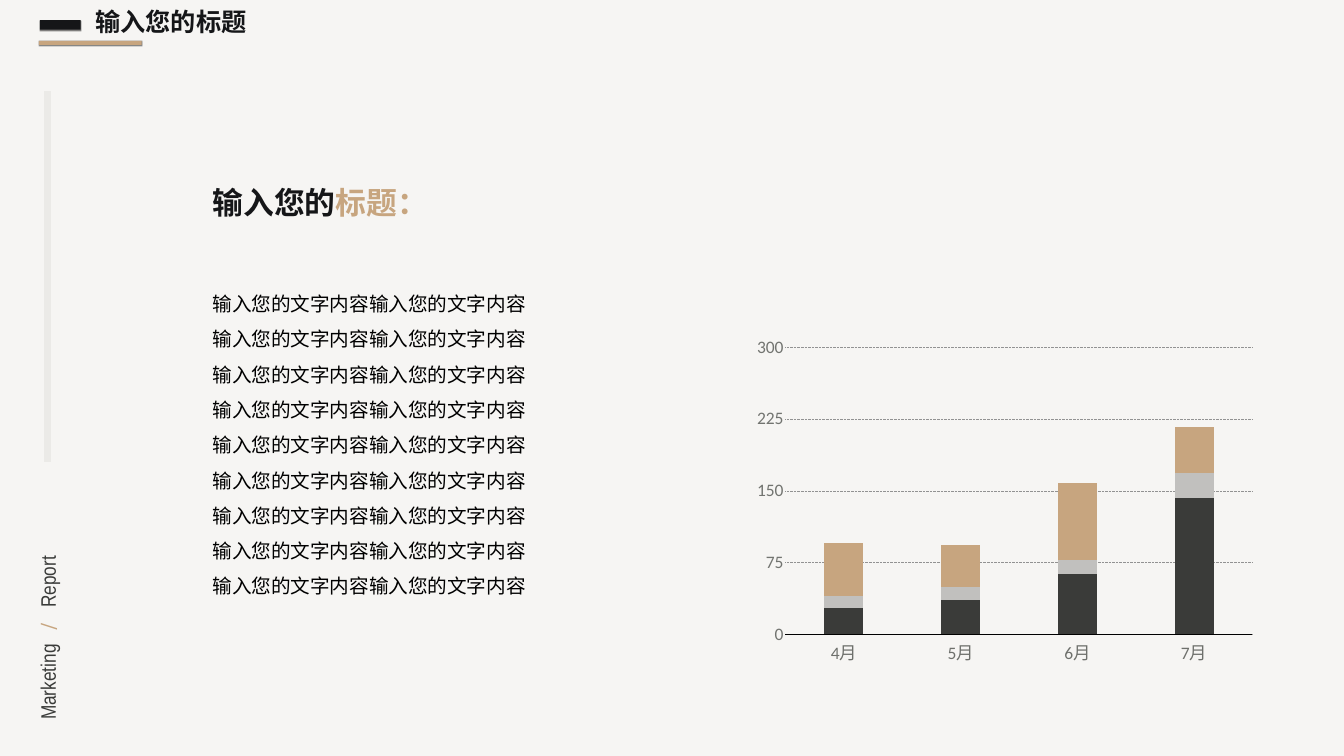
from dataclasses import dataclass

from lxml import etree
from pptx import Presentation
from pptx.chart.data import CategoryChartData
from pptx.dml.color import RGBColor
from pptx.enum.chart import XL_CHART_TYPE, XL_TICK_LABEL_POSITION, XL_TICK_MARK
from pptx.enum.dml import MSO_LINE
from pptx.enum.shapes import MSO_CONNECTOR, MSO_SHAPE
from pptx.enum.text import MSO_ANCHOR, MSO_AUTO_SIZE, PP_ALIGN
from pptx.oxml import parse_xml
from pptx.oxml.ns import nsdecls, qn
from pptx.util import Pt

STACKED = XL_CHART_TYPE.COLUMN_STACKED
LOW = XL_TICK_LABEL_POSITION.LOW
NO_TICK = XL_TICK_MARK.NONE
DOTTED = MSO_LINE.ROUND_DOT
STRAIGHT = MSO_CONNECTOR.STRAIGHT
RECTANGLE = MSO_SHAPE.RECTANGLE
TOP, MIDDLE = MSO_ANCHOR.TOP, MSO_ANCHOR.MIDDLE
GROW = MSO_AUTO_SIZE.SHAPE_TO_FIT_TEXT
LEFT = PP_ALIGN.LEFT

PX = 9144  # EMU per px, 100 px to the inch


@dataclass(frozen=True)
class Theme:
    paper: str = "F6F5F3"
    rail: str = "EBEAE7"
    ink: str = "151618"
    charcoal: str = "3A3B39"
    silver: str = "C1C0BE"
    tan: str = "C7A57F"
    black: str = "000000"
    grid: str = "929292"
    chart_text: str = "717175"
    month_label: str = "6E706C"
    value_label: str = "727470"
    cjk: str = "Noto Sans CJK SC"
    title_size: int = 36
    heading_size: int = 44
    body_size: int = 28
    side_size: int = 30
    axis_size: int = 25
    chart_size: int = 10


THEME = Theme()


def px(*lengths):
    return [round(length * PX) for length in lengths]


def rgb(color):
    return RGBColor.from_string(color)


def style_font(font, size, face, color, bold=None):
    font.size, font.name, font.bold = Pt(size), face, bold
    font.color.rgb = rgb(color)


def add_run(paragraph, text, size, face, color, bold=None):
    run = paragraph.add_run()
    run.text = text
    style_font(run.font, size, face, color, bold)
    if face == THEME.cjk:
        latin = run.font._element.find(qn("a:latin"))
        latin.addnext(parse_xml(f'<a:ea {nsdecls("a")} typeface="{face}"/>'))
    return run


def add_text_frame(slide, box, wrap):
    frame = slide.shapes.add_textbox(*px(*box)).text_frame
    frame.word_wrap, frame.auto_size = wrap, GROW
    return frame


def add_accent_bar(slide, box, color):
    """Filled bar with a fine shadow just below it."""
    bar = slide.shapes.add_shape(RECTANGLE, *px(*box))
    bar.fill.solid()
    bar.fill.fore_color.rgb = rgb(color)
    bar.line.fill.background()
    bar.shadow.inherit = False
    bar._element.spPr.find(qn("a:effectLst")).append(parse_xml(
        f'<a:outerShdw {nsdecls("a")} blurRad="12700" dist="12700" dir="5400000" rotWithShape="0">'
        '<a:srgbClr val="000000"><a:alpha val="50000"/></a:srgbClr></a:outerShdw>'))


def add_side_rail(slide, left, top, width, height):
    """Vertical rule with the report name reading upwards below it."""
    center = left + width // 2
    rule = slide.shapes.add_connector(
        STRAIGHT, *px(center - 2, top + 735, center - 2, top))
    rule.line.color.rgb, rule.line.width = rgb(THEME.rail), Pt(10)
    etree.SubElement(rule._element.spPr, qn("a:effectLst"))

    length, thickness = 410, width
    middle = top + height - length // 2
    name = slide.shapes.add_textbox(
        *px(center - 2 - length // 2, middle - thickness // 2, length, thickness))
    name.rotation = 270
    frame = name.text_frame
    frame.word_wrap, frame.auto_size, frame.vertical_anchor = False, GROW, MIDDLE
    frame.margin_left = frame.margin_right = frame.margin_top = frame.margin_bottom = 4 * PX
    line = frame.paragraphs[0]
    words = [("Marketing", "Arial Narrow", THEME.charcoal),
             ("/", "Roboto Condensed", THEME.tan),
             ("Report", "Arial Narrow", THEME.charcoal)]
    for index, (word, face, color) in enumerate(words):
        if index:
            gap = add_run(line, " ", THEME.side_size, words[index - 1][1], color)
            gap.font._element.set("spc", "1370")  # widens the single space
        add_run(line, word, THEME.side_size, face, color)


def add_header(slide, left, top, width, height):
    add_accent_bar(slide, (left + 2, top + 32, 81, 19), THEME.ink)
    add_accent_bar(slide, (left, top + 73, 204, 8), THEME.tan)
    title = slide.shapes.title
    title.left, title.top, title.width, title.height = px(
        left + 102, top, width - 102, height)
    frame = title.text_frame
    frame.word_wrap, frame.auto_size, frame.vertical_anchor = False, GROW, TOP
    frame.paragraphs[0].alignment = LEFT
    add_run(frame.paragraphs[0], "输入您的标题", THEME.title_size, THEME.cjk, THEME.ink, True)


def add_copy(slide, left, top, width, height):
    """Two-colour heading with the body lines below."""
    heading = add_text_frame(slide, (left, top, 452, 84), False).paragraphs[0]
    for text, color in (("输入您的", THEME.ink), ("标题：", THEME.tan)):
        add_run(heading, text, THEME.heading_size, THEME.cjk, color, True)

    body = add_text_frame(slide, (left, top + 192, width, height - 192), True)
    for index in range(9):
        line = body.add_paragraph() if index else body.paragraphs[0]
        line.line_spacing = 1.5
        add_run(line, "输入您的文字内容" * 2, THEME.body_size, THEME.cjk, THEME.black)


def add_monthly_chart(slide, left, top, width, height):
    data = CategoryChartData()
    data.categories = ["4月", "5月", "6月", "7月"]
    layers = [((27, 36, 63, 143), THEME.charcoal),
              ((13, 14, 15, 26), THEME.silver),
              ((55, 43, 80, 48), THEME.tan)]
    for number, (values, _) in enumerate(layers, 1):
        data.add_series(f"Series {number}", values)
    chart = slide.shapes.add_chart(STACKED, *px(left, top, width, height), data).chart
    chart.has_legend = chart.has_title = False
    style_font(chart.font, THEME.chart_size, "Montserrat", THEME.chart_text)

    plot = chart.plots[0]
    plot.gap_width, plot.overlap, plot.vary_by_categories = 200, 100, False
    for series, (_, color) in zip(plot.series, layers):
        series.format.fill.solid()
        series.format.fill.fore_color.rgb = rgb(color)

    months, amounts = chart.category_axis, chart.value_axis
    for axis, color in ((months, THEME.month_label), (amounts, THEME.value_label)):
        axis.major_tick_mark = axis.minor_tick_mark = NO_TICK
        style_font(axis.tick_labels.font, THEME.axis_size, "Calibri", color)
    months.tick_label_position = LOW
    months.format.line.color.rgb, months.format.line.width = rgb(THEME.black), Pt(1)
    amounts.minimum_scale, amounts.maximum_scale, amounts.major_unit = 0, 300, 75
    amounts.format.line.fill.background()
    grid = amounts.major_gridlines.format.line
    grid.color.rgb, grid.width, grid.dash_style = rgb(THEME.grid), Pt(1), DOTTED

    area = chart._chartSpace.chart.plotArea
    for old in area.findall(qn("c:layout")):
        area.remove(old)
    places = "".join(f'<c:{tag} val="{value}"/>' for tag, value in (
        ("layoutTarget", "inner"), ("xMode", "edge"), ("yMode", "edge"),
        ("x", 0.09), ("y", 0.07), ("w", 0.91), ("h", 0.82)))
    area.insert(0, parse_xml(
        f'<c:layout {nsdecls("c")}><c:manualLayout>{places}</c:manualLayout></c:layout>'))


def main():
    deck = Presentation()
    deck.slide_width, deck.slide_height = px(2667, 1500)
    slide = deck.slides.add_slide(deck.slide_layouts[5])
    slide.background.fill.solid()
    slide.background.fill.fore_color.rgb = rgb(THEME.paper)
    add_side_rail(slide, 67, 181, 59, 1251)
    add_monthly_chart(slide, 1467, 641, 1019, 694)
    add_header(slide, 77, 8, 425, 71)
    add_copy(slide, 412, 359, 831, 838)
    deck.save("out.pptx")


if __name__ == "__main__":
    main()
